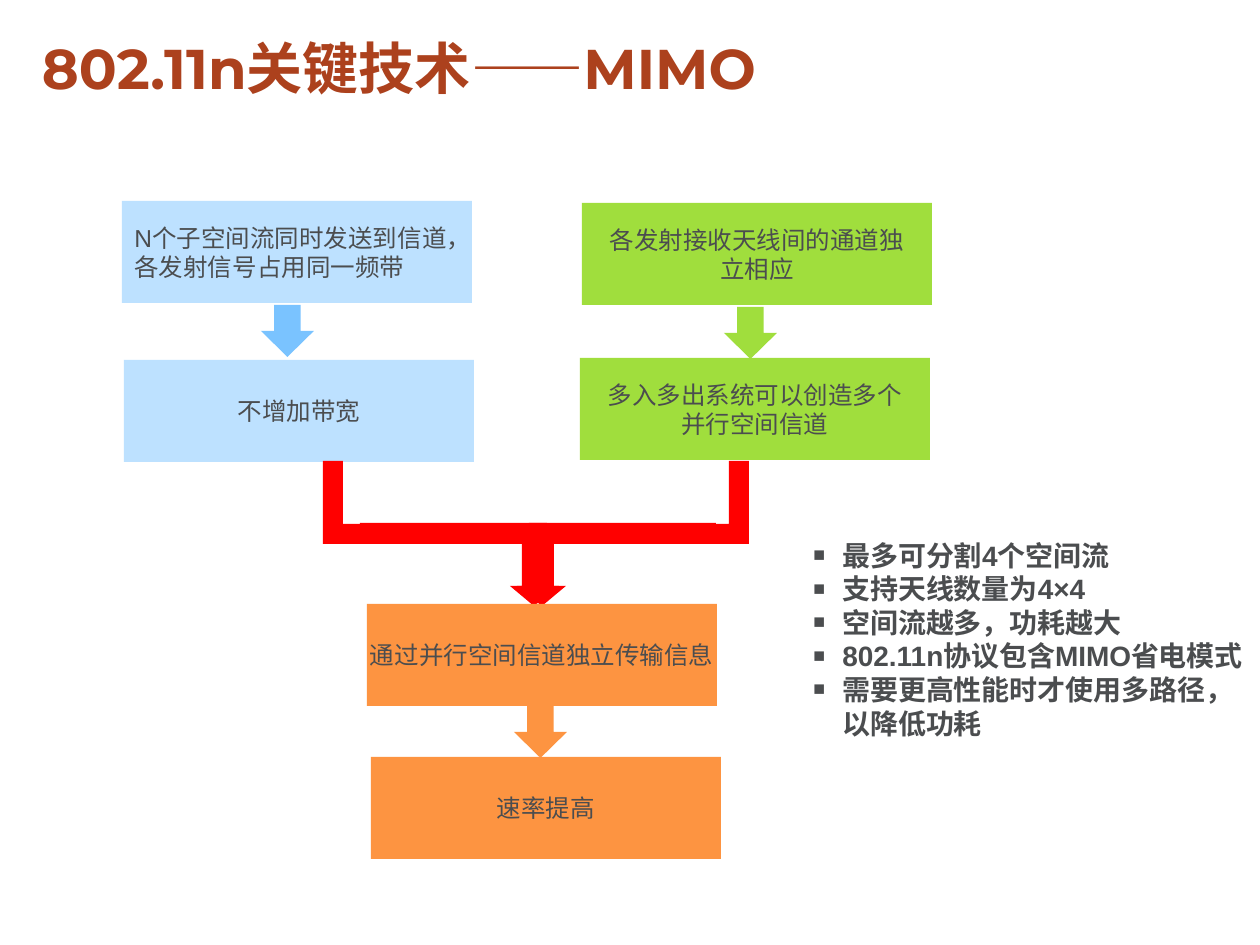
from dataclasses import dataclass

from lxml.etree import SubElement
from pptx import Presentation
from pptx.dml.color import RGBColor
from pptx.enum.shapes import MSO_SHAPE as Shape
from pptx.enum.text import MSO_ANCHOR as Anchor, PP_ALIGN as Align
from pptx.oxml.ns import qn
from pptx.util import Emu, Pt

SCALE = 914400 / 126


@dataclass(frozen=True)
class Theme:
    title_color: str = "AC411D"
    text_color: str = "4B4D4F"
    sky: str = "BDE1FF"
    sky_arrow: str = "7AC3FF"
    lime: str = "A0DE3D"
    orange: str = "FD9441"
    red: str = "FF0000"
    title_font: str = "Montserrat"
    body_font: str = "Arial"
    title_size: int = 32
    step_size: int = 14
    bullet_size: int = 16


THEME = Theme()
STEP_W, STEP_H = 350, 102
ARROW_W, ARROW_H = 53, 52


def px(length):
    return Emu(round(length * SCALE))


def paint(shape, color):
    shape.shadow.inherit = False
    shape.fill.solid()
    shape.fill.fore_color.rgb = RGBColor.from_string(color)
    shape.line.fill.background()


def add_bullet(paragraph, indent):
    properties = paragraph._p.get_or_add_pPr()
    properties.set("marL", str(px(indent)))
    properties.set("indent", str(-px(indent)))
    bullet_color = SubElement(properties, qn("a:buClr"))
    SubElement(bullet_color, qn("a:srgbClr"), val=THEME.text_color)
    SubElement(properties, qn("a:buSzPct"), val="70000")
    SubElement(properties, qn("a:buFont"), typeface=THEME.body_font)
    SubElement(properties, qn("a:buChar"), char="■")


def write(frame, text, size, color=THEME.text_color, font=THEME.body_font,
          bold=False, align=Align.LEFT, anchor=Anchor.TOP, wrap=True,
          line_spacing=None, bullet_indent=None):
    """Fill a text frame with one paragraph for each line of text."""
    frame.word_wrap = wrap
    frame.vertical_anchor = anchor
    for index, line in enumerate(text.split("\n")):
        paragraph = frame.add_paragraph() if index else frame.paragraphs[0]
        paragraph.alignment = align
        if line_spacing:
            paragraph.line_spacing = line_spacing
        if bullet_indent:
            add_bullet(paragraph, bullet_indent)
        run = paragraph.add_run()
        run.text = line
        run.font.size = Pt(size)
        run.font.name = font
        run.font.bold = bold
        run.font.color.rgb = RGBColor.from_string(color)


def add_title(slide, left, top, width, height):
    title = slide.shapes.add_textbox(px(left), px(top), px(width), px(height))
    title.text_frame.margin_left = title.text_frame.margin_right = 0
    write(title.text_frame, "802.11n关键技术——MIMO", THEME.title_size,
          color=THEME.title_color, font=THEME.title_font, bold=True,
          line_spacing=0.9)


def add_step(slide, left, top, text, color, align=Align.CENTER):
    step = slide.shapes.add_shape(
        Shape.RECTANGLE, px(left), px(top), px(STEP_W), px(STEP_H))
    paint(step, color)
    write(step.text_frame, text, THEME.step_size, align=align,
          anchor=Anchor.MIDDLE, wrap=False)


def add_down_arrow(slide, left, top, color):
    arrow = slide.shapes.add_shape(
        Shape.DOWN_ARROW, px(left), px(top), px(ARROW_W), px(ARROW_H))
    paint(arrow, color)


def add_step_pair(slide, left, top, cause, effect, color, arrow_color,
                  effect_at, arrow_at, cause_align=Align.CENTER):
    """Stack two steps with an arrow between; offsets are from the first step."""
    add_step(slide, left, top, cause, color, cause_align)
    add_step(slide, left + effect_at[0], top + effect_at[1], effect, color)
    add_down_arrow(slide, left + arrow_at[0], top + arrow_at[1], arrow_color)


def add_outline(slide, points, color):
    start, *rest = [(px(x), px(y)) for x, y in points]
    builder = slide.shapes.build_freeform(*start, scale=1.0)
    builder.add_line_segments(rest, close=True)
    paint(builder.convert_to_shape(), color)


def add_merge_arrow(slide, left, top, width, height):
    """Join two mirrored branches into one arrow pointing down."""
    bar_top, bar_bottom, head_top = top + 62, top + 83, top + height - 20
    center = left + width // 2
    for side, tip in ((1, center + 6), (-1, center - 2)):
        branch = [(174, bar_bottom), (12, bar_bottom), (12, head_top),
                  (24, head_top), (0, top + height), (-25, head_top),
                  (-13, head_top), (-13, bar_top), (174, bar_top)]
        add_outline(slide, [(tip + side * x, y) for x, y in branch], THEME.red)
    for side, edge in ((1, left), (-1, left + width)):
        elbow = [(0, top), (20, top), (20, bar_top + 1), (40, bar_top + 1),
                 (40, bar_bottom), (0, bar_bottom)]
        add_outline(slide, [(edge + side * x, y) for x, y in elbow], THEME.red)


def add_key_points(slide, left, top, width, height):
    points = slide.shapes.add_textbox(px(left), px(top), px(width), px(height))
    lines = ["最多可分割4个空间流", "支持天线数量为4×4", "空间流越多，功耗越大",
             "802.11n协议包含MIMO省电模式",
             "需要更高性能时才使用多路径，以降低功耗"]
    write(points.text_frame, "\n".join(lines), THEME.bullet_size, bold=True,
          bullet_indent=29)


def main():
    deck = Presentation()
    deck.slide_width, deck.slide_height = px(1260), px(945)
    slide = deck.slides.add_slide(deck.slide_layouts[6])
    add_title(slide, 42, 35, 1174, 90)
    add_step_pair(slide, 122, 201,
                  "N个子空间流同时发送到信道，\n各发射信号占用同一频带",
                  "不增加带宽", THEME.sky, THEME.sky_arrow,
                  effect_at=(2, 159), arrow_at=(139, 104),
                  cause_align=Align.LEFT)
    add_step_pair(slide, 582, 203, "各发射接收天线间的通道独\n立相应",
                  "多入多出系统可以创造多个\n并行空间信道",
                  THEME.lime, THEME.lime,
                  effect_at=(-2, 155), arrow_at=(142, 104))
    add_merge_arrow(slide, 323, 461, 426, 145)
    add_step_pair(slide, 367, 604, "通过并行空间信道独立传输信息", "速率提高",
                  THEME.orange, THEME.orange,
                  effect_at=(4, 153), arrow_at=(147, 102))
    add_key_points(slide, 801, 532, 459, 248)
    deck.save("out.pptx")


if __name__ == "__main__":
    main()
